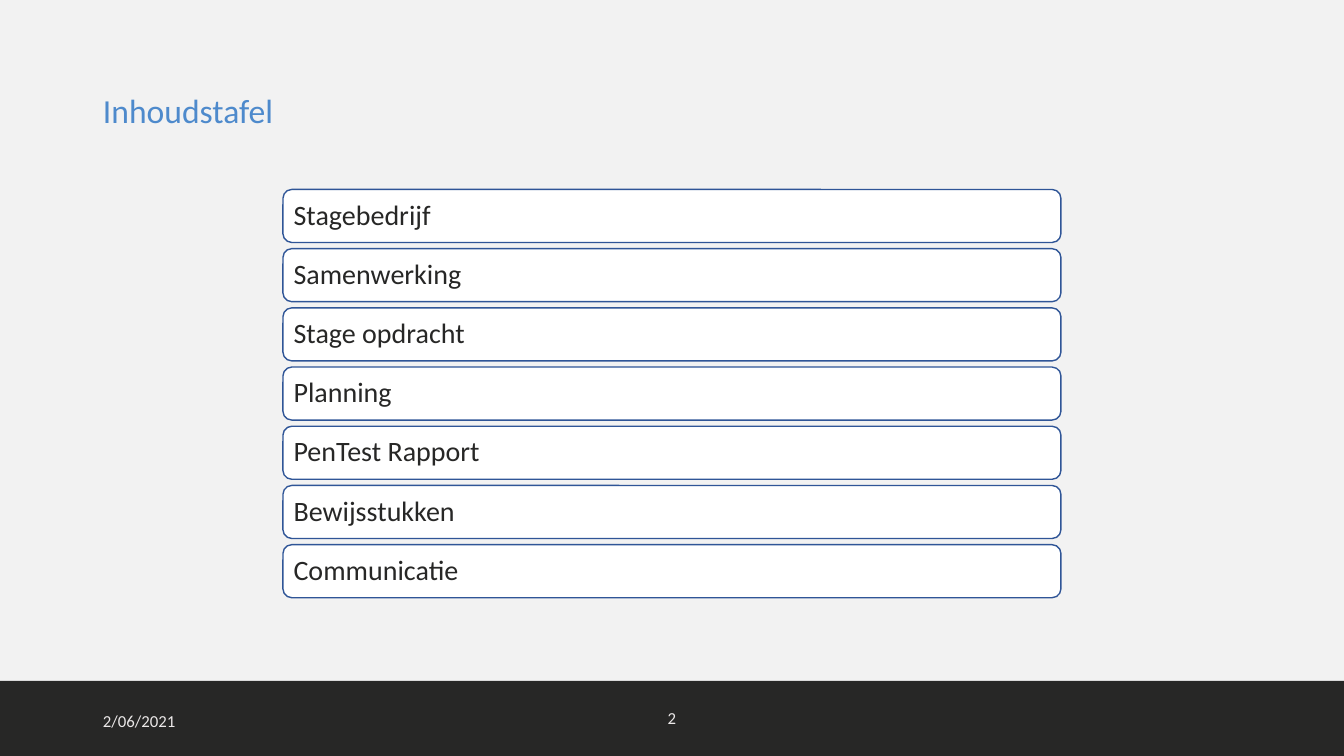
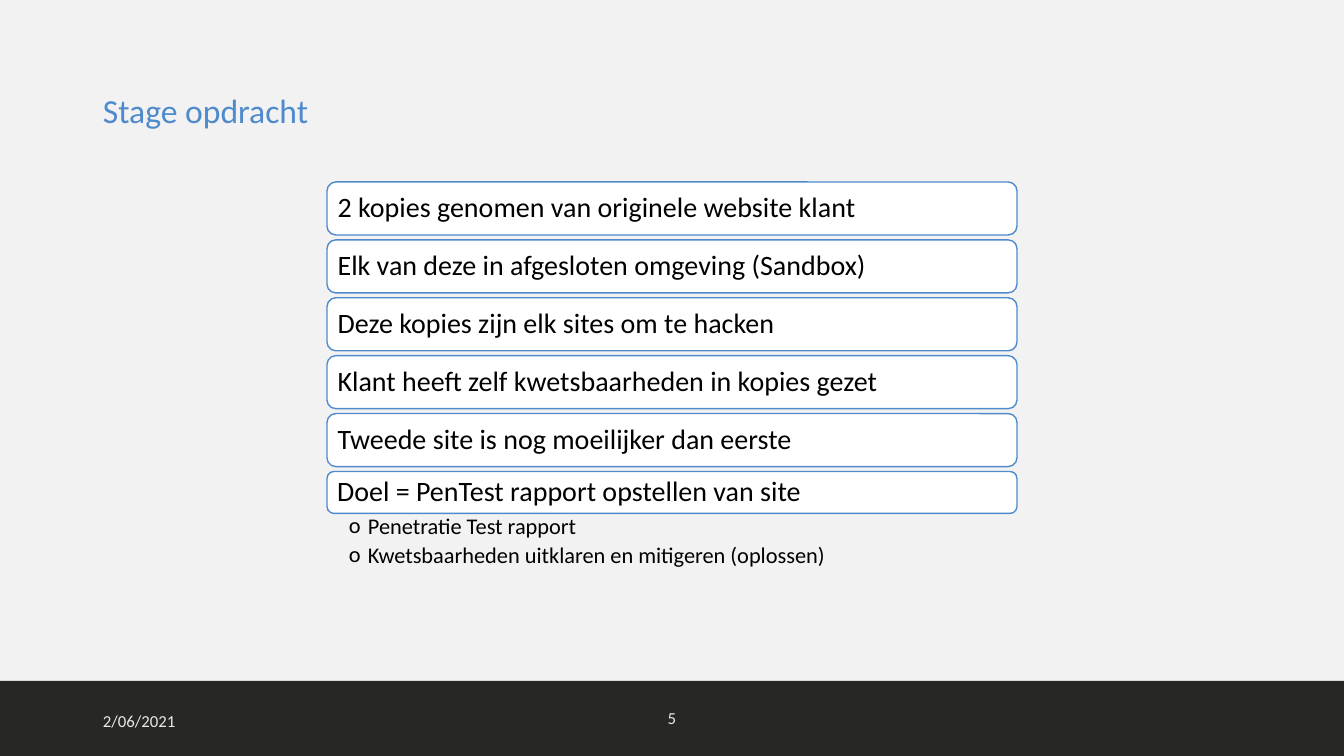
from lxml import etree
from pptx import Presentation
from pptx.dml.color import RGBColor
from pptx.enum.shapes import MSO_SHAPE
from pptx.enum.text import MSO_ANCHOR, PP_ALIGN
from pptx.oxml.ns import qn
from pptx.util import Pt

RECT, ROUND = MSO_SHAPE.RECTANGLE, MSO_SHAPE.ROUNDED_RECTANGLE
TOP, MIDDLE = MSO_ANCHOR.TOP, MSO_ANCHOR.MIDDLE
LEFT, CENTER = PP_ALIGN.LEFT, PP_ALIGN.CENTER

PAPER = RGBColor(0xF2, 0xF2, 0xF2)
DARK = RGBColor(0x27, 0x27, 0x26)
BLUE = RGBColor(0x4E, 0x8A, 0xCC)
NAVY = RGBColor(0x2F, 0x55, 0x97)
WHITE = RGBColor(0xFF, 0xFF, 0xFF)
BLACK = RGBColor(0, 0, 0)
PALE = RGBColor(0xEB, 0xE8, 0xE8)
FONT = "Calibri"
DATE = "2/06/2021"


def box(*lengths):
    return [round(n * 12192000 / 1344) for n in lengths]


def write(sp, lines, size, color, align=LEFT, spacing=0.9, anchor=MIDDLE,
          margins=(10, 5, 10, 5)):
    tf = sp.text_frame
    left, top, right, bottom = box(*margins)
    frame = {"word_wrap": True, "vertical_anchor": anchor, "margin_left": left,
             "margin_top": top, "margin_right": right, "margin_bottom": bottom}
    for name, value in frame.items():
        setattr(tf, name, value)
    for i, line in enumerate(lines):
        p = tf.add_paragraph() if i else tf.paragraphs[0]
        p.alignment, p.line_spacing = align, spacing
        r = p.add_run()
        r.text = line
        for name, value in {"name": FONT, "size": Pt(size)}.items():
            setattr(r.font, name, value)
        r.font.color.rgb = color
    return tf


prs = Presentation()
prs.slide_width, prs.slide_height = box(1344, 756)
fill = prs.slide_master.background.fill
fill.solid()
fill.fore_color.rgb = PAPER

slides = [
    {"title": "Inhoudstafel", "number": "2", "line": NAVY, "ink": DARK,
     "left": 283, "top": 189.5, "width": 778, "pitch": 59.2,
     "items": ["Stagebedrijf", "Samenwerking", "Stage opdracht", "Planning",
               "PenTest Rapport", "Bewijsstukken", "Communicatie"],
     "heights": [53] * 7, "details": []},
    {"title": "Stage opdracht", "number": "5", "line": BLUE, "ink": BLACK,
     "left": 327, "top": 182, "width": 690, "pitch": 57.9,
     "items": ["2 kopies genomen van originele website klant",
               "Elk van deze in afgesloten omgeving (Sandbox)",
               "Deze kopies zijn elk sites om te hacken",
               "Klant heeft zelf kwetsbaarheden in kopies gezet",
               "Tweede site is nog moeilijker dan eerste",
               "Doel = PenTest rapport opstellen van site"],
     "heights": [53] * 5 + [42],
     "details": ["Penetratie Test rapport",
                 "Kwetsbaarheden uitklaren en mitigeren (oplossen)"]},
]

for page in slides:
    s = prs.slides.add_slide(prs.slide_layouts[5])
    title = s.shapes.title
    title.left, title.top, title.width, title.height = box(93, 40, 1159, 146)
    write(title, [page["title"]], 24, BLUE)

    band = s.shapes.add_shape(RECT, *box(0, 681, 1344, 75))
    band.shadow.inherit = False
    band.fill.solid()
    band.fill.fore_color.rgb = DARK
    band.line.fill.background()

    date = s.shapes.add_textbox(*box(93, 701, 302, 40))
    write(date, [DATE], 12, PALE, spacing=1.0)
    number = s.shapes.add_textbox(*box(644, 698, 56, 40))
    write(number, [page["number"]], 12, PALE, CENTER, 1.0)

    for i, (item, height) in enumerate(zip(page["items"], page["heights"])):
        y = page["top"] + i * page["pitch"]
        bar = s.shapes.add_shape(ROUND, *box(page["left"], y, page["width"], height))
        bar.shadow.inherit = False
        bar.fill.solid()
        bar.fill.fore_color.rgb = WHITE
        bar.line.color.rgb = page["line"]
        bar.line.width = Pt(1)
        write(bar, [item], 20, page["ink"], margins=(8, 8, 8, 8))

    if page["details"]:
        details = s.shapes.add_textbox(*box(page["left"], y + height, page["width"], 59))
        tf = write(details, page["details"], 16, page["ink"], anchor=TOP,
                   margins=(22, 2, 12, 2))
        indent, = box(19)
        for p in tf.paragraphs:
            p.level, p.space_after = 1, Pt(3)
            pPr = p._p.get_or_add_pPr()
            pPr.set("marL", str(indent))
            pPr.set("indent", str(-indent))
            etree.SubElement(pPr, qn("a:buFont")).set("typeface", FONT)
            etree.SubElement(pPr, qn("a:buChar")).set("char", "o")

prs.save("out.pptx")
